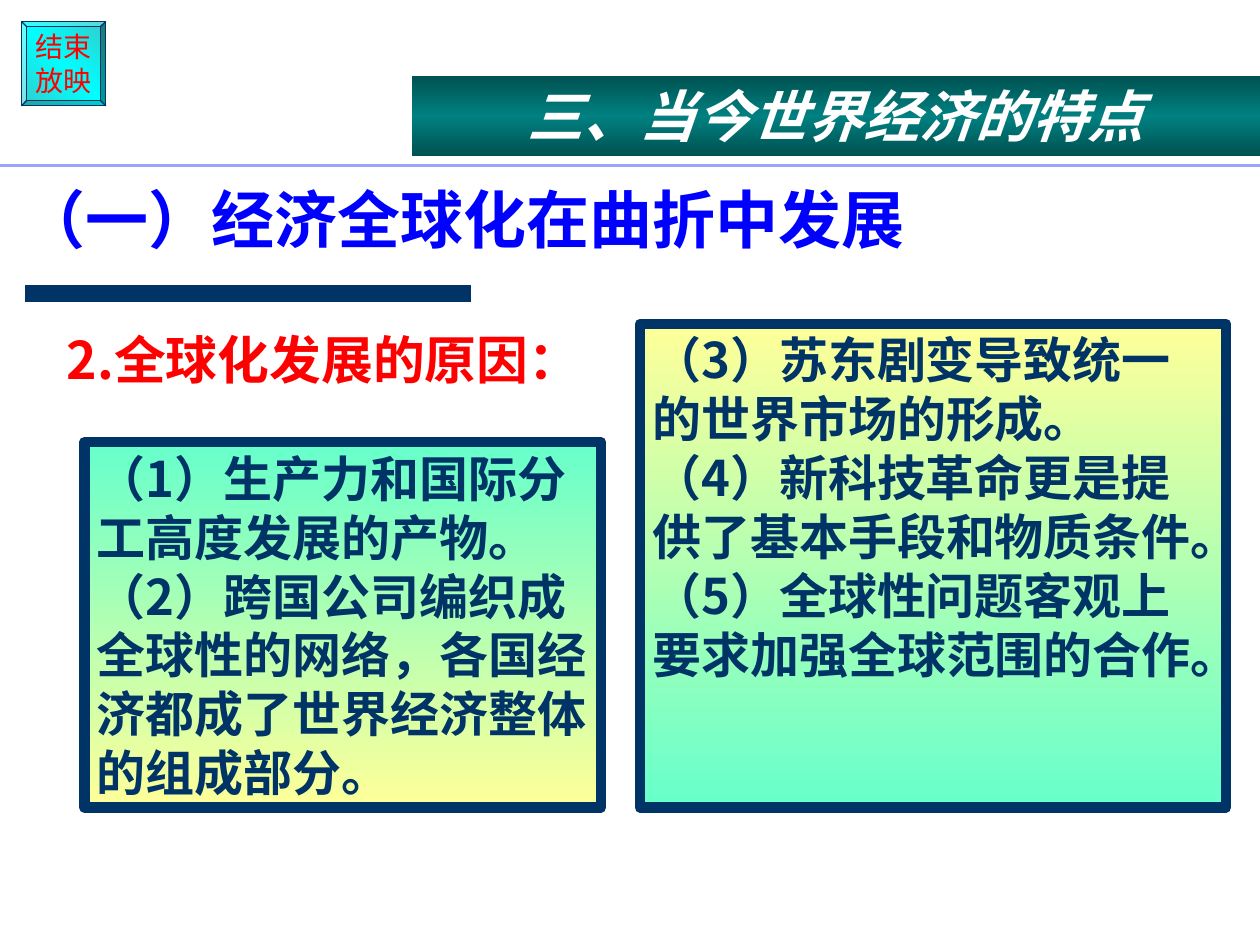
"""Build the slide on the features of today's world economy."""
import pptx
import pptx.util
import pptx.dml.color
import pptx.enum.shapes
import pptx.enum.text
import pptx.oxml.ns
import lxml.etree

Inches, Pt = pptx.util.Inches, pptx.util.Pt
RGB = pptx.dml.color.RGBColor.from_string
KIND = pptx.enum.shapes.MSO_SHAPE
ALIGN = pptx.enum.text.PP_ALIGN
ANCHOR = pptx.enum.text.MSO_ANCHOR
FIT = pptx.enum.text.MSO_AUTO_SIZE
qn = pptx.oxml.ns.qn
SANS = "Noto Sans CJK SC"
HUES = {"navy": "003366", "blue": "0000FF", "red": "FF0000", "white": "FFFFFF",
        "mint": "66FFCC", "lemon": "FFFF99", "deep": "005151", "teal": "008080",
        "aqua": "33CCCC", "cyan": "00FFFF", "lilac": "9BA4FD"}


def write(shape, lines, hue, size, name=SANS, bold=True, italic=False,
          align=ALIGN.LEFT, anchor=ANCHOR.TOP, wrap=True, **gaps):
    frame = shape.text_frame
    frame.text = "\n".join(lines)
    frame.auto_size = FIT.NONE
    frame.word_wrap = wrap
    frame.vertical_anchor = anchor
    look = {"name": name, "size": Pt(size), "bold": bold, "italic": italic}
    for para in frame.paragraphs:
        for key, value in {"alignment": align, **gaps}.items():
            setattr(para, key, value)
        for run in para.runs:
            for key, value in look.items():
                setattr(run.font, key, value)
            run.font.color.rgb = RGB(HUES[hue])
            east = lxml.etree.SubElement(run.font._element, qn("a:ea"))
            east.set("typeface", SANS)


def panel(kind, box, hues, angle, edge):
    shape = slide.shapes.add_shape(kind, *map(Inches, box))
    shape.shadow.inherit = False
    shape.fill.gradient()
    shape.fill.gradient_angle = angle
    stops = shape._element.spPr.find(".//" + qn("a:gsLst"))
    for stop in list(stops):
        stops.remove(stop)
    for i, hue in enumerate(hues):
        stop = lxml.etree.SubElement(stops, qn("a:gs"))
        stop.set("pos", str(100000 * i // (len(hues) - 1)))
        lxml.etree.SubElement(stop, qn("a:srgbClr")).set("val", HUES[hue])
    if edge:
        shape.line.color.rgb = RGB(HUES["navy"])
        shape.line.width = Pt(edge)
    else:
        shape.line.fill.background()
    return shape


deck = pptx.Presentation()
deck.slide_width, deck.slide_height = Inches(10), Inches(7.5)
slide = deck.slides.add_slide(deck.slide_layouts[5])

title = slide.shapes.title
place = {"left": 0.08, "top": 1, "width": 9.84, "height": 1.09}
for key, value in place.items():
    setattr(title, key, Inches(value))
write(title, ["（一）经济全球化在曲折中发展"], "blue", 36,
      anchor=ANCHOR.BOTTOM, line_spacing=0.9)

button = panel(KIND.BEVEL, (0.17, 0.17, 0.67, 0.67), ["aqua", "cyan", "aqua"], 225, 0.75)
button.adjustments[0] = 0.06
write(button, ["结束", "放映"], "red", 16, name="Arial", bold=False,
      align=ALIGN.CENTER, anchor=ANCHOR.MIDDLE, wrap=False)

topic = slide.shapes.add_textbox(*map(Inches, (0.43, 2.65, 4.88, 0.52)))
write(topic, ["2.全球化发展的原因："], "red", 29.6, line_spacing=0.8, space_before=Pt(8))

causes = [
    ((0.67, 3.51, 4.1, 2.9), ["mint", "lemon"],
     ["（1）生产力和国际分工高度发展的产物。",
      "（2）跨国公司编织成全球性的网络，各国经济都成了世界经济整体的组成部分。"]),
    ((5.08, 2.57, 4.65, 3.84), ["lemon", "mint"],
     ["（3）苏东剧变导致统一的世界市场的形成。",
      "（4）新科技革命更是提供了基本手段和物质条件。",
      "（5）全球性问题客观上要求加强全球范围的合作。"]),
]
for box, hues, lines in causes:
    write(panel(KIND.RECTANGLE, box, hues, 270, 6), lines, "navy", 28)

banner = panel(KIND.RECTANGLE, (3.27, 0.6, 6.73, 0.64), ["deep", "teal", "deep"], 270, 0)
write(banner, ["三、当今世界经济的特点"], "white", 32, italic=True,
      align=ALIGN.CENTER, space_before=Pt(20))

rules = [(0.2, 3.74, 2.33, "navy", 10), (0, 10, 1.31, "lilac", 1.75)]
for left, right, y, hue, width in rules:
    rule = slide.shapes.add_connector(
        pptx.enum.shapes.MSO_CONNECTOR.STRAIGHT,
        Inches(left), Inches(y), Inches(right), Inches(y))
    rule.line.color.rgb = RGB(HUES[hue])
    rule.line.width = Pt(width)
    lxml.etree.SubElement(rule._element.spPr, qn("a:effectLst"))

deck.save("out.pptx")
